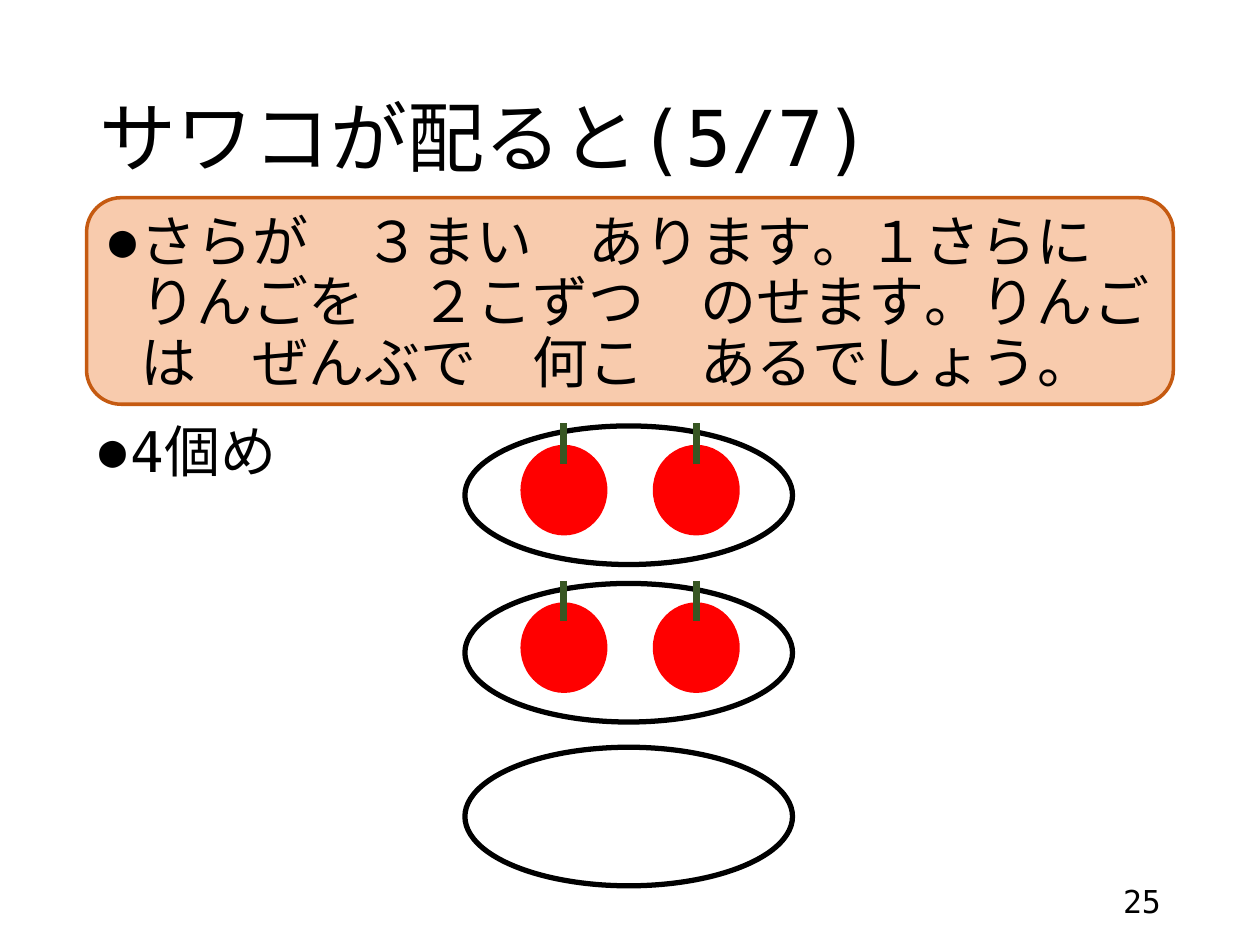
from dataclasses import dataclass

from lxml.etree import SubElement
from pptx import Presentation
from pptx.dml.color import RGBColor
from pptx.enum.shapes import MSO_CONNECTOR as Connector, MSO_SHAPE as Shape
from pptx.enum.text import MSO_ANCHOR as Anchor, MSO_AUTO_SIZE as AutoSize, PP_ALIGN as Align
from pptx.oxml.ns import qn
from pptx.util import Pt

TITLE = "サワコが配ると(5/7)"
PROBLEM = ("さらが\u3000３まい\u3000あります。１さらに\u3000りんごを\u3000２こずつ\u3000のせます。"
           "りんごは\u3000ぜんぶで\u3000何こ\u3000あるでしょう。")
STEP = "4個め"
PAGE = "25"
# Top of each plate and the number of apples on it
PLATES = [(243.4, 2), (333.4, 2), (427, 0)]

MARGIN, CONTENT_WIDTH = 49.5, 621
PLATE_LEFT, PLATE_WIDTH, PLATE_HEIGHT = 265.7, 187.2, 79.2
APPLE_WIDTH, APPLE_HEIGHT, APPLE_PITCH = 49.7, 51.8, 75.6
APPLE_INSET, APPLE_DROP = 31.7, 10.8
STEM_RISE, STEM_LENGTH = 12.2, 23


@dataclass(frozen=True)
class Theme:
    """Colours, font and type sizes of the slide."""
    font: str = "DejaVu Sans Mono"
    ink: RGBColor = RGBColor(0, 0, 0)
    plate: RGBColor = RGBColor(255, 255, 255)
    apple: RGBColor = RGBColor(255, 0, 0)
    stem: RGBColor = RGBColor(0x38, 0x57, 0x23)
    panel: RGBColor = RGBColor(0xF8, 0xCB, 0xAD)
    panel_edge: RGBColor = RGBColor(0xC5, 0x5A, 0x11)
    title_size: int = 44
    body_size: int = 32
    page_size: int = 18


theme = Theme()


def place(part, left, top, width, height):
    """Move and size a part, in points."""
    part.left, part.top, part.width, part.height = map(Pt, (left, top, width, height))


def write(part, words, size, anchor=Anchor.TOP, align=Align.LEFT, line_spacing=0.9):
    """Put one run of text into a part and return its paragraph."""
    frame = part.text_frame
    frame.word_wrap = True
    frame.auto_size = AutoSize.NONE
    frame.vertical_anchor = anchor
    paragraph = frame.paragraphs[0]
    paragraph.alignment = align
    paragraph.line_spacing = line_spacing
    run = paragraph.add_run()
    run.text = words
    run.font.size = Pt(size)
    run.font.name = theme.font
    run.font.color.rgb = theme.ink
    SubElement(run.font._element, qn("a:ea"), typeface=theme.font)
    return paragraph


def add_bullet(paragraph):
    """Give a paragraph a hanging round bullet."""
    paragraph.space_before = Pt(10)
    properties = paragraph._p.get_or_add_pPr()
    properties.set("marL", str(Pt(18)))
    properties.set("indent", str(-Pt(18)))
    SubElement(properties, qn("a:buSzPct"), val="80000")
    SubElement(properties, qn("a:buFont"), typeface=theme.font)
    SubElement(properties, qn("a:buChar"), char="●")


def add_figure(shapes, kind, box, fill, edge=None, edge_width=0):
    """Add a flat preset shape, with an outline if an edge colour is given."""
    figure = shapes.add_shape(kind, *map(Pt, box))
    figure.shadow.inherit = False
    figure.fill.solid()
    figure.fill.fore_color.rgb = fill
    if edge is None:
        figure.line.fill.background()
    else:
        figure.line.color.rgb = edge
        figure.line.width = Pt(edge_width)
    return figure


def add_apple(shapes, left, top):
    """Group a red apple with its stem."""
    apple = shapes.add_group_shape().shapes
    add_figure(apple, Shape.OVAL, (left, top, APPLE_WIDTH, APPLE_HEIGHT), theme.apple)
    center, stem_top = left + APPLE_WIDTH / 2, top - STEM_RISE
    stem = apple.add_connector(Connector.STRAIGHT, Pt(center), Pt(stem_top),
                               Pt(center), Pt(stem_top + STEM_LENGTH))
    stem.line.color.rgb = theme.stem
    stem.line.width = Pt(4)
    SubElement(stem._element.spPr, qn("a:effectLst"))


def add_plate(shapes, top, apples):
    """Add a plate and the apples dealt to it."""
    add_figure(shapes, Shape.OVAL, (PLATE_LEFT, top, PLATE_WIDTH, PLATE_HEIGHT),
               theme.plate, theme.ink, 3)
    for position in range(apples):
        add_apple(shapes, PLATE_LEFT + APPLE_INSET + position * APPLE_PITCH, top + APPLE_DROP)


def build():
    """Build and save the slide."""
    deck = Presentation()
    deck.slide_width, deck.slide_height = Pt(720), Pt(540)
    slide = deck.slides.add_slide(deck.slide_layouts[1])
    shapes = slide.shapes

    place(shapes.title, MARGIN, 28.75, CONTENT_WIDTH, 104.4)
    write(shapes.title, TITLE, theme.title_size, Anchor.MIDDLE)

    step = slide.placeholders[1]
    place(step, MARGIN, 239, CONTENT_WIDTH, 247)
    add_bullet(write(step, STEP, theme.body_size))

    panel = add_figure(shapes, Shape.ROUNDED_RECTANGLE, (MARGIN, 113, CONTENT_WIDTH, 118),
                       theme.panel, theme.panel_edge, 2)
    add_bullet(write(panel, PROBLEM, theme.body_size))

    for top, apples in PLATES:
        add_plate(shapes, top, apples)

    page = shapes.add_textbox(Pt(508.5), Pt(500.5), Pt(162), Pt(28.75))
    write(page, PAGE, theme.page_size, Anchor.MIDDLE, Align.RIGHT, 1.0)
    deck.save("out.pptx")


build()
